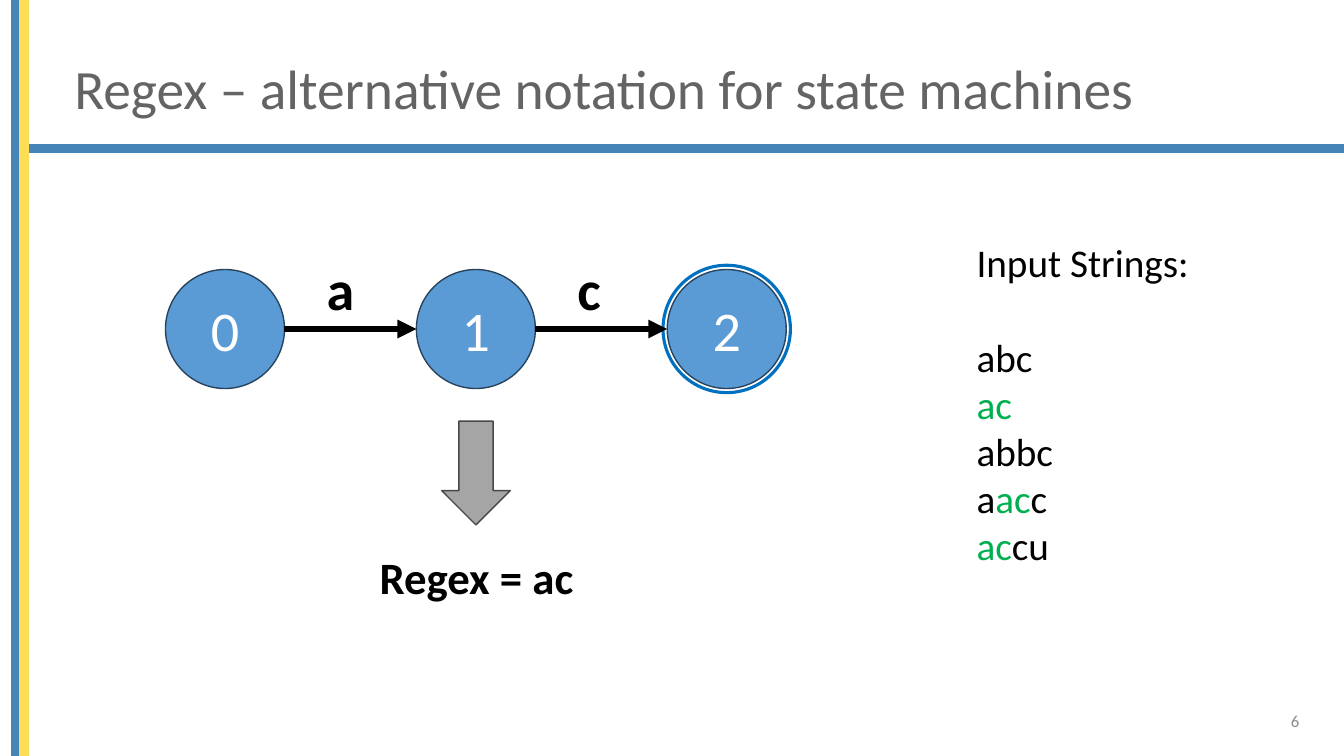
from dataclasses import dataclass

from lxml import etree
from pptx import Presentation
from pptx import util as u
from pptx.dml.color import RGBColor
from pptx.enum import shapes, text
from pptx.oxml import ns

BLUE = RGBColor(0x45, 0x84, 0xB6)
YELLOW = RGBColor(0xFF, 0xDE, 0x57)
STATE_FILL = RGBColor(0x5B, 0x9B, 0xD5)
STATE_LINE = RGBColor(0x28, 0x44, 0x5D)
RING = RGBColor(0x00, 0x70, 0xC0)
ARROW_FILL = RGBColor(0xA5, 0xA5, 0xA5)
ARROW_LINE = RGBColor(0x48, 0x48, 0x48)
TITLE_GREY = RGBColor(0x64, 0x64, 0x64)
NUMBER_GREY = RGBColor(0x8C, 0x8C, 0x8C)
MATCH = RGBColor(0x00, 0xB0, 0x50)
BLACK = RGBColor(0, 0, 0)
WHITE = RGBColor(0xFF, 0xFF, 0xFF)

FONT = "Calibri"
STATE_LEFT, STATE_TOP, STATE_SIZE, STATE_PITCH = 118.2, 192.5, 85, 179.2
STATE_MIDDLE = STATE_TOP + STATE_SIZE / 2
RING_GAP = 3
LABEL_LEFT, LABEL_TOP = 226.2, 178


@dataclass(frozen=True)
class Box:
    left: float
    top: float
    width: float
    height: float

    def lengths(self) -> list[u.Length]:
        return [u.Pt(value) for value in (self.left, self.top, self.width, self.height)]


@dataclass(frozen=True)
class Style:
    size: float
    color: RGBColor = BLACK
    bold: bool = False
    align: text.PP_ALIGN = text.PP_ALIGN.LEFT
    anchor: text.MSO_ANCHOR = text.MSO_ANCHOR.TOP
    wrap: bool = True


@dataclass(frozen=True)
class Run:
    words: str
    color: RGBColor = BLACK


@dataclass(frozen=True)
class Bar:
    box: Box
    color: RGBColor


BARS = [
    Bar(Box(13.3, 103.3, 946.7, 5.8), BLUE),
    Bar(Box(8.4, 0, 5.8, 540), BLUE),
    Bar(Box(14.4, 0, 5.8, 540), YELLOW),
]
STATES = ["0", "1", "2"]
TRANSITIONS = ["a", "c"]
INPUT_STRINGS = [
    [Run("Input Strings:")],
    [Run("abc")],
    [Run("ac", MATCH)],
    [Run("abbc")],
    [Run("a"), Run("ac", MATCH), Run("c")],
    [Run("ac", MATCH), Run("cu")],
]


def write(shape, lines: list[list[Run]], style: Style) -> None:
    frame = shape.text_frame
    frame.word_wrap = style.wrap
    frame.vertical_anchor = style.anchor
    for index, line in enumerate(lines):
        paragraph = frame.add_paragraph() if index else frame.paragraphs[0]
        paragraph.alignment = style.align
        for part in line:
            run = paragraph.add_run()
            run.text = part.words
            run.font.name = FONT
            run.font.size = u.Pt(style.size)
            run.font.bold = style.bold
            run.font.color.rgb = part.color


def add_text(slide, box: Box, words: str, style: Style):
    shape = slide.shapes.add_textbox(*box.lengths())
    write(shape, [[Run(words, style.color)]], style)
    return shape


def add_preset(slide, kind: shapes.MSO_SHAPE, box: Box, fill: RGBColor | None,
               line: RGBColor, line_width: float = 1):
    shape = slide.shapes.add_shape(kind, *box.lengths())
    shape.shadow.inherit = False
    if fill is None:
        shape.fill.background()
    else:
        shape.fill.solid()
        shape.fill.fore_color.rgb = fill
    shape.line.color.rgb = line
    shape.line.width = u.Pt(line_width)
    return shape


def add_transition(slide, left: float, right: float) -> None:
    """Draw a level arrow between two states."""
    connector = slide.shapes.add_connector(
        shapes.MSO_CONNECTOR.STRAIGHT,
        u.Pt(left), u.Pt(STATE_MIDDLE), u.Pt(right), u.Pt(STATE_MIDDLE))
    connector.line.color.rgb = BLACK
    connector.line.width = u.Pt(4.5)
    etree.SubElement(connector.line._get_or_add_ln(), ns.qn("a:tailEnd"), type="triangle")
    etree.SubElement(connector._element.spPr, ns.qn("a:effectLst"))


def add_state_machine(slide) -> None:
    circle = shapes.MSO_SHAPE.OVAL
    name_style = Style(40, WHITE, align=text.PP_ALIGN.CENTER, anchor=text.MSO_ANCHOR.MIDDLE)
    lefts = [STATE_LEFT + index * STATE_PITCH for index in range(len(STATES))]
    for left, name in zip(lefts, STATES):
        state = add_preset(slide, circle, Box(left, STATE_TOP, STATE_SIZE, STATE_SIZE),
                           STATE_FILL, STATE_LINE)
        write(state, [[Run(name, WHITE)]], name_style)

    ring_size = STATE_SIZE + 2 * RING_GAP
    ring_box = Box(lefts[-1] - RING_GAP, STATE_TOP - RING_GAP, ring_size, ring_size)
    add_preset(slide, circle, ring_box, None, RING, 2.25)

    for index, label in enumerate(TRANSITIONS):
        add_transition(slide, lefts[index] + STATE_SIZE, lefts[index + 1])
        label_box = Box(LABEL_LEFT + index * STATE_PITCH, LABEL_TOP, 62, 55.4)
        add_text(slide, label_box, label, Style(40, bold=True))


def add_input_strings(slide) -> None:
    shape = slide.shapes.add_textbox(*Box(690.5, 167, 168, 244.8).lengths())
    write(shape, INPUT_STRINGS, Style(28, wrap=False))
    shape.text_frame.paragraphs[1].space_before = u.Pt(34)


def main() -> None:
    presentation = Presentation()
    presentation.slide_width, presentation.slide_height = u.Pt(960), u.Pt(540)
    slide = presentation.slides.add_slide(presentation.slide_layouts[6])

    for bar in BARS:
        add_preset(slide, shapes.MSO_SHAPE.RECTANGLE, bar.box, bar.color, bar.color)
    title = add_text(slide, Box(46, 28.8, 848, 72.7),
                     "Regex – alternative notation for state machines",
                     Style(39.6, TITLE_GREY, anchor=text.MSO_ANCHOR.MIDDLE))
    title.text_frame.paragraphs[0].line_spacing = 0.9
    add_text(slide, Box(719.3, 500.5, 216, 28.8), "6",
             Style(12, NUMBER_GREY, align=text.PP_ALIGN.RIGHT, anchor=text.MSO_ANCHOR.MIDDLE))

    add_state_machine(slide)
    add_input_strings(slide)
    add_preset(slide, shapes.MSO_SHAPE.DOWN_ARROW, Box(315.5, 300.8, 49, 74.2),
               ARROW_FILL, ARROW_LINE)
    add_text(slide, Box(264, 389, 154, 46), "Regex = ac", Style(32, bold=True, wrap=False))
    presentation.save("out.pptx")


if __name__ == "__main__":
    main()
